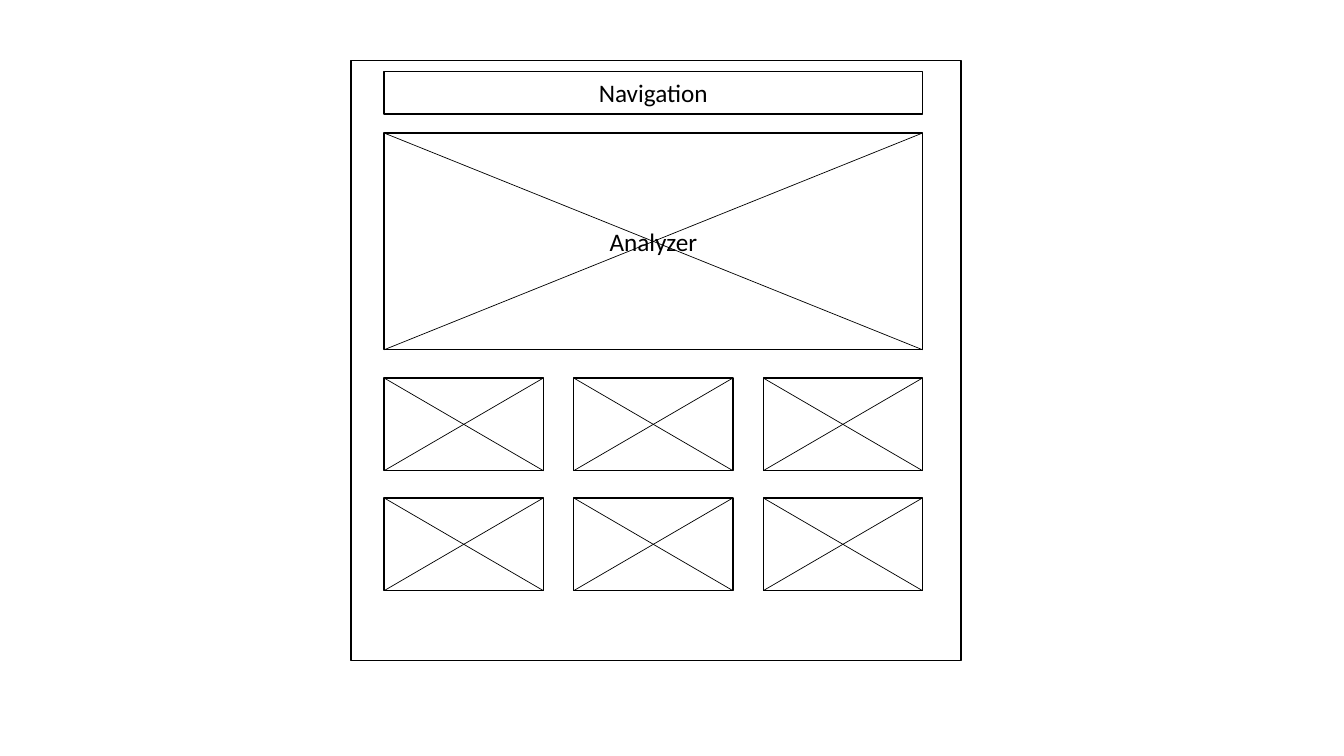
from dataclasses import dataclass

from lxml import etree
from pptx import Presentation
from pptx.dml.color import RGBColor
from pptx.enum.shapes import MSO_CONNECTOR, MSO_SHAPE
from pptx.enum.text import MSO_ANCHOR, PP_ALIGN
from pptx.oxml.ns import qn
from pptx.util import Inches, Pt

RECTANGLE = MSO_SHAPE.RECTANGLE
STRAIGHT = MSO_CONNECTOR.STRAIGHT
MIDDLE = MSO_ANCHOR.MIDDLE
CENTER = PP_ALIGN.CENTER


@dataclass(frozen=True)
class Theme:
    paper: RGBColor = RGBColor(255, 255, 255)
    ink: RGBColor = RGBColor(0, 0, 0)
    font: str = "Calibri"
    label_size: int = 18
    border: float = 1
    diagonal: float = 0.5


THEME = Theme()

PAGE = (3.48, 0.6, 6.05, 5.95)
NAVIGATION = ("Navigation", (3.81, 0.71, 5.34, 0.42))
ANALYZER = ("Analyzer", (3.81, 1.32, 5.34, 2.15))
TILE_ROWS, TILE_COLUMNS = 2, 3
TILE_ORIGIN = (3.81, 3.75)
TILE_SIZE = (1.58, 0.92)
TILE_PITCH = (1.88, 1.19)


def add_panel(slide, box, label=""):
    panel = slide.shapes.add_shape(RECTANGLE, *map(Inches, box))
    panel.shadow.inherit = False
    panel.fill.solid()
    panel.fill.fore_color.rgb = THEME.paper
    panel.line.color.rgb = THEME.ink
    panel.line.width = Pt(THEME.border)
    if label:
        panel.text_frame.text = label
        panel.text_frame.vertical_anchor = MIDDLE
        paragraph = panel.text_frame.paragraphs[0]
        paragraph.alignment = CENTER
        paragraph.font.name = THEME.font
        paragraph.font.size = Pt(THEME.label_size)
        paragraph.font.color.rgb = THEME.ink


def add_placeholder_panel(slide, box, label=""):
    add_panel(slide, box, label)
    left, top, width, height = box
    right, bottom = left + width, top + height
    for start_y, end_y in ((top, bottom), (bottom, top)):
        diagonal = slide.shapes.add_connector(
            STRAIGHT, *map(Inches, (left, start_y, right, end_y)))
        diagonal.line.color.rgb = THEME.ink
        diagonal.line.width = Pt(THEME.diagonal)
        etree.SubElement(diagonal._element.spPr, qn("a:effectLst"))


def main():
    deck = Presentation()
    deck.slide_width, deck.slide_height = Inches(13.33), Inches(7.5)
    slide = deck.slides.add_slide(deck.slide_layouts[6])

    add_panel(slide, PAGE)
    navigation_label, navigation_box = NAVIGATION
    add_panel(slide, navigation_box, navigation_label)
    analyzer_label, analyzer_box = ANALYZER
    add_placeholder_panel(slide, analyzer_box, analyzer_label)

    for row in range(TILE_ROWS):
        for column in range(TILE_COLUMNS):
            left = TILE_ORIGIN[0] + column * TILE_PITCH[0]
            top = TILE_ORIGIN[1] + row * TILE_PITCH[1]
            add_placeholder_panel(slide, (left, top, *TILE_SIZE))

    deck.save("out.pptx")


if __name__ == "__main__":
    main()
